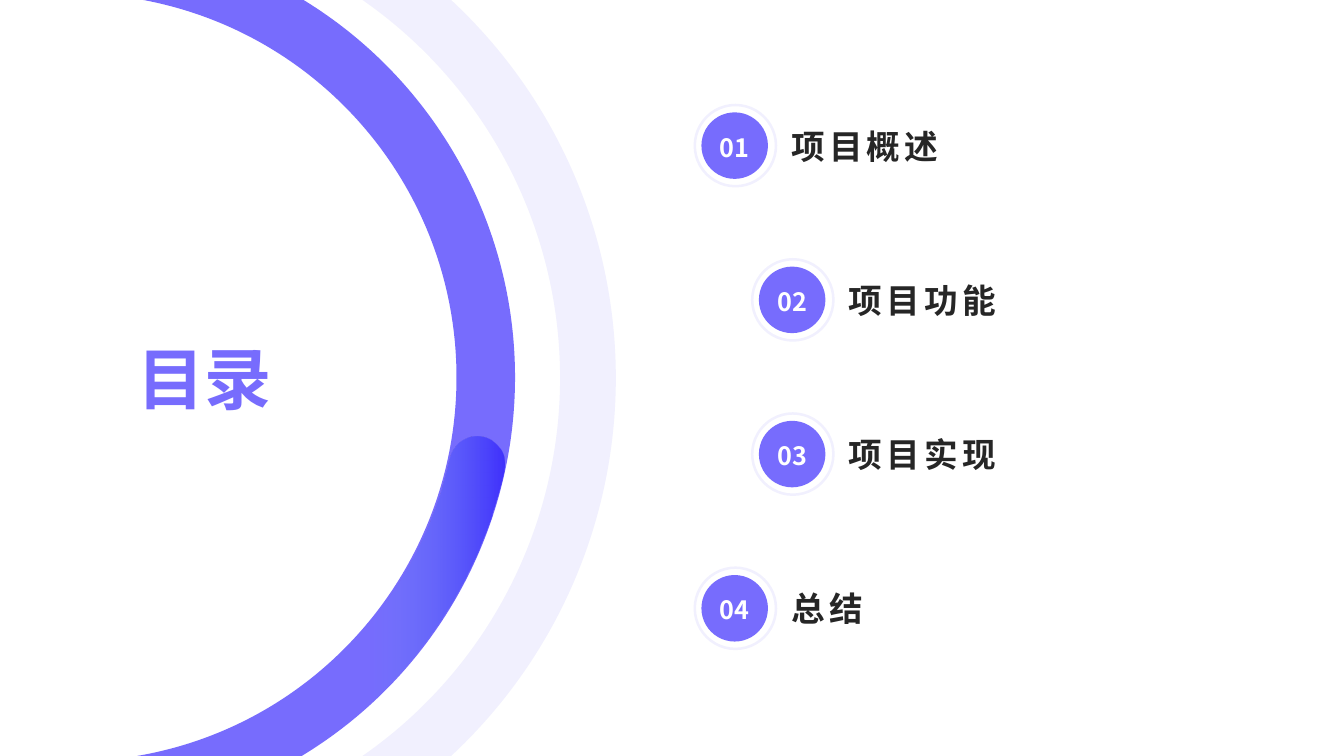
from dataclasses import dataclass
from math import asin, cos, pi, radians, sin, tan

from lxml import etree
from pptx import Presentation
from pptx.dml.color import RGBColor
from pptx.enum.shapes import MSO_SHAPE
from pptx.enum.text import MSO_ANCHOR, MSO_AUTO_SIZE, PP_ALIGN
from pptx.oxml.ns import qn
from pptx.shapes.autoshape import Shape
from pptx.slide import Slide
from pptx.text.text import TextFrame
from pptx.util import Pt

OVAL, DONUT = MSO_SHAPE.OVAL, MSO_SHAPE.DONUT
MIDDLE, NO_FIT = MSO_ANCHOR.MIDDLE, MSO_AUTO_SIZE.NONE
LEFT, CENTER = PP_ALIGN.LEFT, PP_ALIGN.CENTER

SLIDE_W, SLIDE_H = 960, 540
COMPARISON_LAYOUT = 4
FIRST_ROW_Y, ROW_PITCH = 104.04, 110.16
OUTER_X, INDENT = 525, 41.04
BADGE_SIZE, HALO_SIZE, HALO_THICKNESS = 47.5, 59.8, 0.03
LABEL_GAP, LABEL_W, LABEL_H = 40.2, 289.4, 39.6

Curve = list[tuple[float, float]]


@dataclass(frozen=True)
class Theme:
    font: str = "Noto Sans CJK SC"
    violet: RGBColor = RGBColor(0x77, 0x6C, 0xFD)
    sky: RGBColor = RGBColor(0x5D, 0x95, 0xF1)
    indigo: RGBColor = RGBColor(0x25, 0x13, 0xFC)
    ink: RGBColor = RGBColor(0x26, 0x26, 0x26)
    white: RGBColor = RGBColor(0xFF, 0xFF, 0xFF)
    title_size: int = 48
    label_size: int = 24
    badge_size: int = 18
    label_tracking: int = 3
    pale: int = 10


@dataclass(frozen=True)
class Band:
    center_x: float
    center_y: float
    inner: float
    outer: float

    def point(self, radius: float, angle: float, pull: float = 0) -> tuple[float, float]:
        return (self.center_x + radius * (cos(angle) - pull * sin(angle)),
                self.center_y + radius * (sin(angle) + pull * cos(angle)))

    def arc(self, radius: float, *angles: float) -> Curve:
        curve = [self.point(radius, angles[0])]
        for start, end in zip(angles, angles[1:]):
            pull = 4 / 3 * tan((end - start) / 4)
            curve += [self.point(radius, start, pull), self.point(radius, end, -pull),
                      self.point(radius, end)]
        return curve

    def angle_at(self, radius: float, y: float) -> float:
        return asin((y - self.center_y) / radius)


@dataclass(frozen=True)
class Chapter:
    number: str
    name: str
    level: int


THEME = Theme()
PALE_BAND = Band(71.3, 270, 328.8, 368.6)
VIOLET_BAND = Band(51.8, 269.6, 274.3, 316.1)
HIGHLIGHT_BAND = Band(51.8, 269.3, 275.5, 315.5)
HIGHLIGHT_START = radians(12.2)
CHAPTERS = [
    Chapter("01", "项目概述", 0),
    Chapter("02", "项目功能", 1),
    Chapter("03", "项目实现", 1),
    Chapter("04", "总结", 0),
]


def set_alpha(shape: Shape, *percents: int) -> None:
    colors = shape._element.spPr.iter(qn("a:srgbClr"))
    for color, percent in zip(list(colors), percents):
        etree.SubElement(color, qn("a:alpha")).set("val", str(percent * 1000))


def paint(shape: Shape, color: RGBColor) -> None:
    shape.shadow.inherit = False
    shape.line.fill.background()
    shape.fill.solid()
    shape.fill.fore_color.rgb = color


def write(frame: TextFrame, text: str, size: int, color: RGBColor,
          align: PP_ALIGN, wrap: bool = True, tracking: int = 0) -> None:
    frame.text = text
    frame.word_wrap = wrap
    frame.auto_size = NO_FIT
    frame.vertical_anchor = MIDDLE
    frame.margin_left = frame.margin_right = frame.margin_top = frame.margin_bottom = 0
    paragraph = frame.paragraphs[0]
    paragraph.alignment = align
    paragraph.space_before = Pt(0)
    run = paragraph.runs[0]
    run.font.name = THEME.font
    run.font.size = Pt(size)
    run.font.bold = True
    run.font.color.rgb = color
    properties = run.font._element
    etree.SubElement(properties, qn("a:ea")).set("typeface", THEME.font)
    if tracking:
        properties.set("spc", str(tracking * 100))


def place(shape: Shape, left: float, top: float, width: float, height: float) -> None:
    shape.left, shape.top, shape.width, shape.height = map(Pt, (left, top, width, height))


def bend(outline: Shape, curves: list[Curve]) -> None:
    steps = iter(list(next(outline._element.spPr.iter(qn("a:path")))))
    for curve in curves:
        next(steps)
        for _ in range(len(curve) // 3):
            first, second, last = next(steps), next(steps), next(steps)
            bezier = etree.Element(qn("a:cubicBezTo"))
            first.addprevious(bezier)
            for step in (first, second, last):
                bezier.append(step[0])
                step.getparent().remove(step)


def draw_outline(slide: Slide, *curves: Curve) -> Shape:
    vertices = [(Pt(x), Pt(y)) for curve in curves for x, y in curve]
    builder = slide.shapes.build_freeform(*vertices[0], scale=1.0)
    builder.add_line_segments(vertices[1:], close=True)
    outline = builder.convert_to_shape()
    bend(outline, list(curves))
    paint(outline, THEME.violet)
    return outline


def draw_band(slide: Slide, band: Band) -> Shape:
    outer, inner = (
        band.arc(radius, band.angle_at(radius, 0), 0, band.angle_at(radius, SLIDE_H))
        for radius in (band.outer, band.inner)
    )
    return draw_outline(slide, outer, inner[::-1])


def draw_highlight(slide: Slide, band: Band) -> None:
    outer, inner = (
        band.arc(radius, HIGHLIGHT_START, band.angle_at(radius, SLIDE_H))
        for radius in (band.outer, band.inner)
    )
    cap_x, cap_y = band.point((band.inner + band.outer) / 2, HIGHLIGHT_START)
    cap = Band(cap_x, cap_y, 0, (band.outer - band.inner) / 2)
    rounded_end = cap.arc(cap.outer, HIGHLIGHT_START - pi, HIGHLIGHT_START - pi / 2,
                          HIGHLIGHT_START)
    highlight = draw_outline(slide, outer, inner[::-1], rounded_end)
    highlight.fill.gradient()
    highlight.fill.gradient_angle = 0
    stops = highlight.fill.gradient_stops
    for stop, color, position in zip(stops, (THEME.sky, THEME.indigo), (0.62, 1)):
        stop.color.rgb = color
        stop.position = position
    set_alpha(highlight, 0, 70)


def draw_disc(slide: Slide, kind: MSO_SHAPE, x: float, y: float, size: float) -> Shape:
    disc = slide.shapes.add_shape(kind, Pt(x - size / 2), Pt(y - size / 2), Pt(size), Pt(size))
    paint(disc, THEME.violet)
    return disc


def draw_chapter(slide: Slide, chapter: Chapter, row: int, label: Shape) -> None:
    x = OUTER_X + chapter.level * INDENT
    y = FIRST_ROW_Y + row * ROW_PITCH
    halo = draw_disc(slide, DONUT, x + 0.3, y, HALO_SIZE)
    halo.adjustments[0] = HALO_THICKNESS
    set_alpha(halo, THEME.pale)
    badge = draw_disc(slide, OVAL, x - 0.2, y, BADGE_SIZE)
    write(badge.text_frame, chapter.number, THEME.badge_size, THEME.white, CENTER, wrap=False)
    badge.text_frame.paragraphs[0].line_spacing = 1.1
    place(label, x + LABEL_GAP, y - LABEL_H / 2, LABEL_W, LABEL_H)
    write(label.text_frame, chapter.name, THEME.label_size, THEME.ink, LEFT,
          tracking=THEME.label_tracking)
    properties = label.text_frame.paragraphs[0]._p.get_or_add_pPr()
    properties.set("marL", "0")
    properties.set("indent", "0")
    etree.SubElement(properties, qn("a:buNone"))


def main() -> None:
    deck = Presentation()
    deck.slide_width, deck.slide_height = Pt(SLIDE_W), Pt(SLIDE_H)
    slide = deck.slides.add_slide(deck.slide_layouts[COMPARISON_LAYOUT])
    heading, *labels = slide.placeholders
    set_alpha(draw_band(slide, PALE_BAND), THEME.pale)
    draw_band(slide, VIOLET_BAND)
    draw_highlight(slide, HIGHLIGHT_BAND)
    place(heading, 97.9, 218.2, 209.5, 103.7)
    write(heading.text_frame, "目录", THEME.title_size, THEME.violet, LEFT)
    for row, (chapter, label) in enumerate(zip(CHAPTERS, labels)):
        draw_chapter(slide, chapter, row, label)
    deck.save("out.pptx")


if __name__ == "__main__":
    main()
